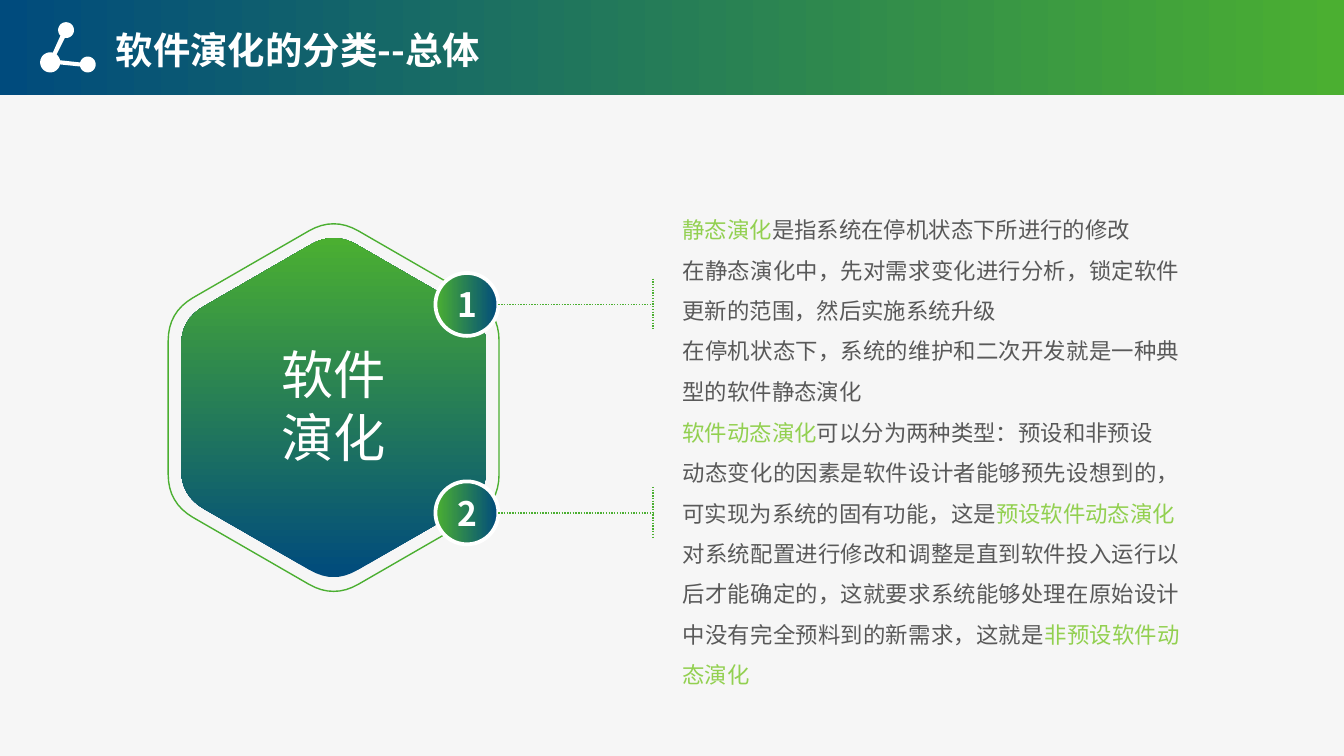
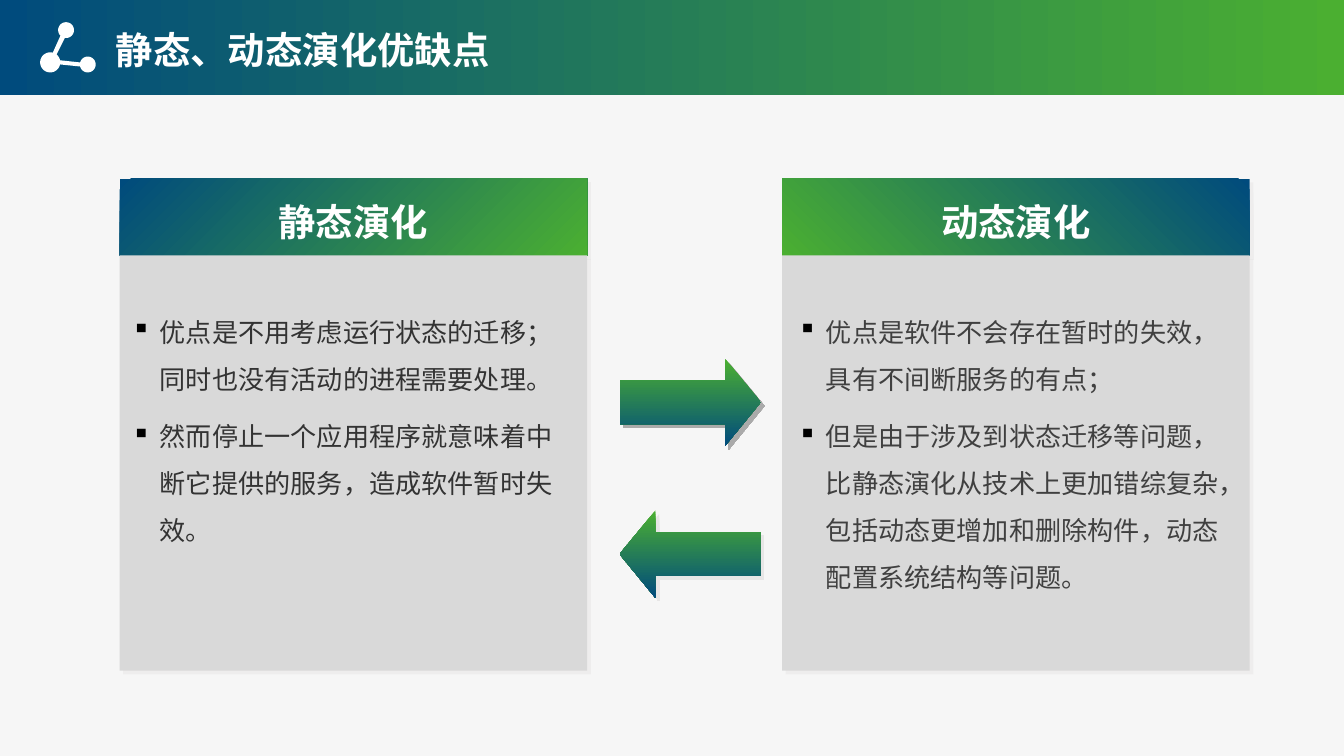
from math import cos, pi, radians, sin

from lxml import etree
from pptx import Presentation
from pptx.dml.color import RGBColor
from pptx.enum.dml import MSO_LINE
from pptx.enum.shapes import MSO_CONNECTOR, MSO_SHAPE
from pptx.enum.text import MSO_ANCHOR, MSO_AUTO_SIZE, PP_ALIGN
from pptx.oxml.ns import qn
from pptx.util import Cm, Pt

RECTANGLE, OVAL, ARROW = MSO_SHAPE.RECTANGLE, MSO_SHAPE.OVAL, MSO_SHAPE.RIGHT_ARROW
STRAIGHT, DOTTED = MSO_CONNECTOR.STRAIGHT, MSO_LINE.ROUND_DOT
CENTER, JUSTIFY = PP_ALIGN.CENTER, PP_ALIGN.JUSTIFY
MIDDLE, GROW = MSO_ANCHOR.MIDDLE, MSO_AUTO_SIZE.SHAPE_TO_FIT_TEXT

FONT = "Noto Sans CJK SC"
COLORS = {
    "page": "F6F6F6", "blue": "004B7D", "green": "4BAF31", "white": "FFFFFF",
    "key": "92D050", "body": "595959", "panel": "D9D9D9", "bullet": "000000",
    "static": "333333", "dynamic": "404040", "soft": "E7E6E6", "dark": "5F5F5F",
}
WIDTH, HEIGHT = 25.4, 14.29


# ---- Shared helpers ----
def rgb(name):
    return RGBColor.from_string(COLORS[name])


def add_xml(parent, tag, **attributes):
    return etree.SubElement(parent, qn(tag), attributes)


def add_color(parent, name):
    return add_xml(parent, "a:srgbClr", val=COLORS[name])


def paint(shape, fill=None, line=None, weight=0.75, angle=0):
    """A fill is one colour name, or a pair of names for a gradient."""
    shape.shadow.inherit = False
    if fill is None:
        shape.fill.background()
    elif isinstance(fill, tuple):
        shape.fill.gradient()
        shape.fill.gradient_angle = angle
        for stop, name in zip(shape.fill.gradient_stops, fill):
            stop.color.rgb = rgb(name)
    else:
        shape.fill.solid()
        shape.fill.fore_color.rgb = rgb(fill)
    if line:
        shape.line.color.rgb = rgb(line)
        shape.line.width = Pt(weight)
    else:
        shape.line.fill.background()
    return shape


def add_block(page, kind, box, **look):
    return paint(page.shapes.add_shape(kind, *map(Cm, box)), **look)


def add_outline(page, points, **look):
    points = [(Cm(x), Cm(y)) for x, y in points]
    builder = page.shapes.build_freeform(*points[0])
    builder.add_line_segments(points[1:], close=True)
    return paint(builder.convert_to_shape(), **look)


def add_shadow(shape, color, opacity):
    effects = shape._element.spPr.find(qn("a:effectLst"))
    shadow = add_xml(effects, "a:outerShdw", blurRad="0", dist=str(Pt(2.8)),
                     dir="2700000", algn="ctr", rotWithShape="0")
    add_xml(add_color(shadow, color), "a:alpha", val=str(opacity * 1000))


def add_bullet(para):
    properties = para._p.get_or_add_pPr()
    properties.set("marL", str(Cm(0.53)))
    properties.set("indent", str(-Cm(0.53)))
    add_xml(add_xml(properties, "a:spcAft"), "a:spcPct", val="40000")
    add_color(add_xml(properties, "a:buClr"), "bullet")
    add_xml(properties, "a:buChar", char="▪")


def write(shape, paragraphs, size, frame=None, para_format=None, bold=None, bullets=False):
    """Each paragraph is a list of (text, colour name) spans."""
    text_frame = shape.text_frame
    for key, value in ({"word_wrap": True} | (frame or {})).items():
        setattr(text_frame, key, value)
    for index, spans in enumerate(paragraphs):
        para = text_frame.add_paragraph() if index else text_frame.paragraphs[0]
        for key, value in (para_format or {}).items():
            setattr(para, key, value)
        if bullets:
            add_bullet(para)
        for text, color in spans:
            span = para.add_run()
            span.text = text
            for key, value in {"name": FONT, "size": Pt(size), "bold": bold}.items():
                setattr(span.font, key, value)
            span.font.color.rgb = rgb(color)
            add_xml(span._r.get_or_add_rPr(), "a:ea", typeface=FONT)


def add_text(page, box, paragraphs, size, insets=(0, 0, 0, 0), frame=None, **style):
    sides = ("margin_left", "margin_top", "margin_right", "margin_bottom")
    frame = dict(zip(sides, map(Cm, insets))) | (frame or {})
    write(page.shapes.add_textbox(*map(Cm, box)), paragraphs, size, frame, **style)


# ---- Header band ----
def add_node_icon(page, left, top):
    """Three linked discs, traced as a single outline of arcs."""
    upper, lower, right = (0.49, 0.14, 0.15), (0.19, 0.75, 0.19), (0.9, 0.79, 0.15)
    arcs = [(upper, 135, 459), (lower, -51, -12), (right, 195, 525), (lower, 12, 285)]
    points = []
    for (x, y, radius), start, end in arcs:
        for step in range(25):
            angle = radians(start + (end - start) * step / 24)
            points.append((left + x + radius * cos(angle), top + y + radius * sin(angle)))
    add_outline(page, points, fill="white")


def add_header(page, box, title):
    left, top = box[:2]
    add_block(page, RECTANGLE, box, fill=("blue", "green"))
    add_node_icon(page, left + 0.76, top + 0.43)
    add_text(page, (left + 2.01, top + 0.41, 8.05, 1.04), [[(title, "white")]], 20,
             insets=(0.18, 0.1, 0.18, 0.1), frame={"auto_size": GROW}, bold=True)


def add_page(deck, title):
    page = deck.slides.add_slide(deck.slide_layouts[6])
    page.background.fill.solid()
    page.background.fill.fore_color.rgb = rgb("page")
    add_header(page, (0, 0, WIDTH, 1.8), title)
    return page


# ---- Classification slide ----
def hexagon(center_x, center_y, radius, cut=0.15):
    """Corner points of a regular hexagon, each corner rounded by a quadratic curve."""
    corners = [(center_x + radius * cos(k * pi / 3), center_y + radius * sin(k * pi / 3))
               for k in range(6)]
    points = []
    for k, corner in enumerate(corners):
        before, after = corners[k - 1], corners[(k + 1) % 6]
        for step in range(9):
            t = step / 8
            back, ahead = cut * (1 - t) ** 2, cut * t ** 2
            points.append(tuple(c + back * (b - c) + ahead * (a - c)
                                for b, c, a in zip(before, corner, after)))
    return points


def add_hexagon_badge(page, box, label):
    left, top, width, height = box
    x, y = left + width / 2, top + height / 2
    core = add_outline(page, hexagon(x, y, 3.33), fill=("blue", "green"), angle=180)
    add_text(page, (x - 1.46, y - 1.23, 2.92, 2.39), [[(label, "white")]], 28,
             frame={"auto_size": GROW}, para_format={"alignment": CENTER})
    rim = add_outline(page, hexagon(x, y, 3.61), line="green")
    core.rotation = rim.rotation = 90


def add_dotted_line(page, *ends):
    line = page.shapes.add_connector(STRAIGHT, *map(Cm, ends))
    line.line.color.rgb = rgb("green")
    line.line.width = Pt(0.75)
    line.line.dash_style = DOTTED
    add_xml(line._element.spPr, "a:effectLst")


def add_numbered_branch(page, box, number):
    left, top, width, size = box
    middle, end = top + size / 2, left + width
    disc = add_block(page, OVAL, (left, top, size, size), fill=("blue", "green"),
                     angle=180, line="white", weight=2)
    write(disc, [[(str(number), "white")]], 18, {"vertical_anchor": MIDDLE},
          {"alignment": CENTER}, bold=True)
    add_dotted_line(page, left + size, middle, end, middle)
    add_dotted_line(page, end, middle - 0.49, end, middle + 0.49)


def build_classification(deck):
    page = add_page(deck, "软件演化的分类--总体")
    add_hexagon_badge(page, (3.18, 4.2, 6.25, 7.01), "软件演化")
    static = [
        [("静态演化", "key"), ("是指系统在停机状态下所进行的修改", "body")],
        [("在静态演化中，先对需求变化进行分析，锁定软件更新的范围，然后实施系统升级", "body")],
        [("在停机状态下，系统的维护和二次开发就是一种典型的软件静态演化", "body")],
    ]
    dynamic = [
        [("软件动态演化", "key"), ("可以分为两种类型：预设和非预设", "body")],
        [("动态变化的因素是软件设计者能够预先设想到的，可实现为系统的固有功能，这是", "body"),
         ("预设软件动态演化", "key")],
        [("对系统配置进行修改和调整是直到软件投入运行以后才能确定的，这就要求系统能够"
          "处理在原始设计中没有完全预料到的新需求，这就是", "body"),
         ("非预设软件动态演化", "key")],
    ]
    branches = [(static, 3.84, 3.84), (dynamic, 7.67, 5.38)]
    for index, (paragraphs, top, height) in enumerate(branches):
        add_numbered_branch(page, (8.23, 5.16 + index * 3.94, 4.11, 1.19), index + 1)
        add_text(page, (12.9, top, 9.4, height), paragraphs, 12, frame={"auto_size": GROW},
                 para_format={"alignment": JUSTIFY, "line_spacing": 1.5})


# ---- Comparison slide ----
def add_arrow(page, box, flipped):
    arrow = add_block(page, ARROW, box, fill=("green", "blue"), angle=270)
    arrow.adjustments[1] = 0.41
    if flipped:
        arrow._element.spPr.find(qn("a:xfrm")).set("flipH", "1")
    add_shadow(arrow, *(("soft", 100) if flipped else ("dark", 50)))


def add_corner_glow(shape, left, right):
    """Turn the gradient into a radial one that starts at a bottom corner."""
    gradient = shape._element.spPr.find(qn("a:gradFill"))
    gradient.remove(gradient.find(qn("a:lin")))
    glow = add_xml(gradient, "a:path", path="circle")
    add_xml(glow, "a:fillToRect", l=str(left * 1000), t="100000", r=str(right * 1000), b="0")


def add_card(page, box, heading, points, color, focus, inset):
    left, top, width, height = box
    bar_height = 1.45
    bar = add_block(page, RECTANGLE, (left, top, width, bar_height), fill=("green", "blue"))
    add_corner_glow(bar, *focus)
    write(bar, [[(heading, "white")]], 20, {"vertical_anchor": MIDDLE, "word_wrap": False},
          {"alignment": CENTER, "line_spacing": 1.2}, bold=True)
    panel = add_block(page, RECTANGLE, (left, top + bar_height, width, height - bar_height),
                      fill="panel")
    for part in (bar, panel):
        add_shadow(part, "soft", 50)
    add_text(page, (left + inset, top + 2, 8.45, 6.6), [[(point, color)] for point in points],
             14, insets=(0, 0.3, 0.4, 0.2), para_format={"line_spacing": 1.5}, bullets=True)


def build_comparison(deck):
    page = add_page(deck, "静态、动态演化优缺点")
    for index in range(2):
        add_arrow(page, (11.71, 6.78 + index * 2.87, 2.67, 1.65), flipped=index == 1)
    cards = [
        ("静态演化",
         ["优点是不用考虑运行状态的迁移；同时也没有活动的进程需要处理。",
          "然而停止一个应用程序就意味着中断它提供的服务，造成软件暂时失效。"],
         "static", (100, 0), 0.23),
        ("动态演化",
         ["优点是软件不会存在暂时的失效，具有不间断服务的有点；",
          "但是由于涉及到状态迁移等问题，比静态演化从技术上更加错综复杂，"
          "包括动态更增加和删除构件，动态配置系统结构等问题。"],
         "dynamic", (0, 100), 0.3),
    ]
    for index, card in enumerate(cards):
        add_card(page, (2.26 + index * 12.52, 3.38, 8.84, 9.3), *card)


def main():
    deck = Presentation()
    deck.slide_width, deck.slide_height = Cm(WIDTH), Cm(HEIGHT)
    build_classification(deck)
    build_comparison(deck)
    deck.save("out.pptx")


if __name__ == "__main__":
    main()
